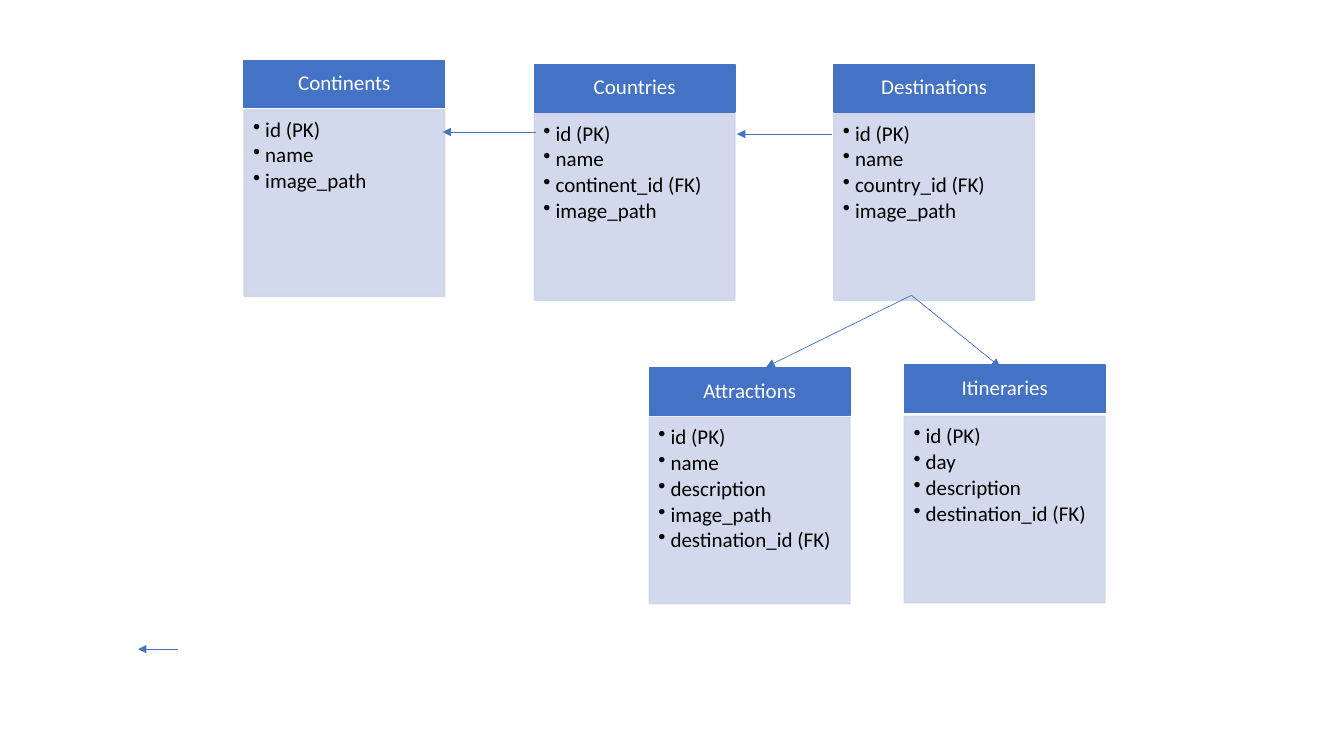
from lxml.etree import SubElement
from pptx import Presentation
from pptx.dml.color import RGBColor
from pptx.enum.shapes import MSO_CONNECTOR, MSO_SHAPE
from pptx.enum.text import MSO_ANCHOR, PP_ALIGN
from pptx.oxml.ns import qn
from pptx.util import Inches, Pt

COLORS = {"header": "4472C4", "body": "CFD5EA", "title": "FFFFFF", "field": "000000"}
FONT = "Calibri"
TABLE_W, HEADER_H, BODY_H = 1.99, 0.47, 1.85
BODY_OFFSET = 0.49

# name, left, top, body offset, fields
TABLES = [
    ("Continents", 2.42, 0.6, BODY_OFFSET, ["id (PK)", "name", "image_path"]),
    ("Countries", 5.3, 0.64, BODY_OFFSET,
     ["id (PK)", "name", "continent_id (FK)", "image_path"]),
    ("Destinations", 8.27, 0.64, BODY_OFFSET,
     ["id (PK)", "name", "country_id (FK)", "image_path"]),
    ("Attractions", 6.44, 3.65, BODY_OFFSET,
     ["id (PK)", "name", "description", "image_path", "destination_id (FK)"]),
    ("Itineraries", 8.97, 3.62, 0.51,
     ["id (PK)", "day", "description", "destination_id (FK)"]),
]

# start x, start y, end x, end y
ARROWS = [
    (5.32, 1.31, 4.39, 1.31),
    (8.25, 1.33, 7.31, 1.33),
    (9.04, 2.93, 7.6, 3.64),
    (9.04, 2.93, 9.92, 3.64),
    (1.77, 6.44, 1.37, 6.44),
]


def rgb(name):
    return RGBColor.from_string(COLORS[name])


def add_box(shapes, left, top, height, color, opacity=100):
    sp = shapes.add_shape(MSO_SHAPE.RECTANGLE, Inches(left), Inches(top),
                          Inches(TABLE_W), Inches(height))
    sp.shadow.inherit = False
    sp.fill.solid()
    sp.fill.fore_color.rgb = rgb(color)
    sp.line.color.rgb = rgb(color)
    sp.line.width = Pt(1)
    if opacity < 100:
        for clr in sp._element.spPr.iter(qn("a:srgbClr")):
            SubElement(clr, qn("a:alpha"), val=str(opacity * 1000))
    return sp


def write_text(sp, lines, color, insets, size=15, align=PP_ALIGN.LEFT,
               anchor=MSO_ANCHOR.TOP, space_after=0, bullet=False):
    tf = sp.text_frame
    tf.word_wrap = True
    tf.vertical_anchor = anchor
    tf.margin_left, tf.margin_top, tf.margin_right, tf.margin_bottom = map(Inches, insets)
    for i, line in enumerate(lines):
        p = tf.paragraphs[0] if i == 0 else tf.add_paragraph()
        p.alignment = align
        p.line_spacing = 0.9
        p.space_after = Pt(space_after)
        if bullet:
            pPr = p._p.get_or_add_pPr()
            pPr.set("marL", str(Inches(0.12)))
            pPr.set("indent", str(-Inches(0.12)))
            SubElement(pPr, qn("a:buChar"), char="•")
        r = p.add_run()
        r.text = line
        r.font.name = FONT
        r.font.size = Pt(size)
        r.font.color.rgb = rgb(color)


def add_entity(s, name, left, top, body_offset, fields):
    """Draw one database table: a header bar above its list of fields."""
    shapes = s.shapes.add_group_shape().shapes
    header = add_box(shapes, left, top, HEADER_H, "header")
    write_text(header, [name], "title", (0.12, 0.07, 0.12, 0.07),
               align=PP_ALIGN.CENTER, anchor=MSO_ANCHOR.MIDDLE)
    body = add_box(shapes, left, top + body_offset, BODY_H, "body", opacity=90)
    write_text(body, fields, "field", (0.09, 0.09, 0.12, 0.13),
               space_after=2.25, bullet=True)


def add_arrow(s, x1, y1, x2, y2):
    line = s.shapes.add_connector(MSO_CONNECTOR.STRAIGHT, Inches(x1), Inches(y1),
                                  Inches(x2), Inches(y2))
    line.line.color.rgb = rgb("header")
    line.line.width = Pt(0.5)
    SubElement(line.line._get_or_add_ln(), qn("a:tailEnd"), type="triangle")
    SubElement(line._element.spPr, qn("a:effectLst"))


def main():
    prs = Presentation()
    prs.slide_width, prs.slide_height = Inches(13.33), Inches(7.5)
    s = prs.slides.add_slide(prs.slide_layouts[6])
    for table in TABLES:
        add_entity(s, *table)
    for arrow in ARROWS:
        add_arrow(s, *arrow)
    prs.save("out.pptx")


if __name__ == "__main__":
    main()
